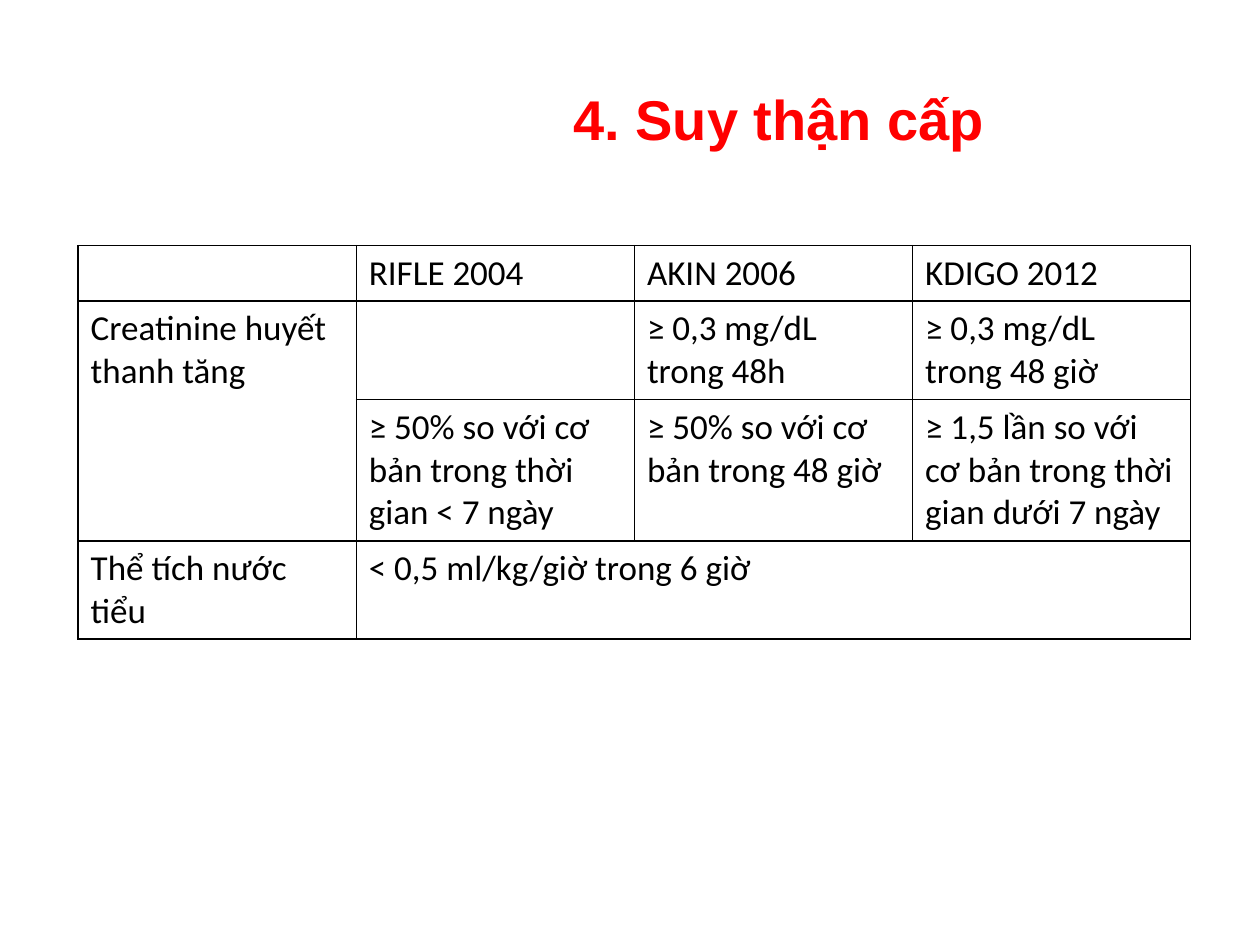
"""Builds a slide comparing three definitions of acute kidney injury."""
from lxml import etree
from pptx import Presentation
from pptx import util as u
from pptx.dml.color import RGBColor
from pptx.enum import text as t
from pptx.oxml.ns import qn


def write(frame, words, font="Calibri", size=20, color="000000", bold=False):
    para = frame.paragraphs[0]
    para.alignment = t.PP_ALIGN.LEFT
    run = para.add_run()
    run.text = words
    run.font.name = font
    run.font.size = u.Pt(size)
    run.font.bold = bold
    run.font.color.rgb = RGBColor.from_string(color)


def edge(cell, color="000000", width=1):
    props = cell._tc.get_or_add_tcPr()
    for side in ("lnL", "lnR", "lnT", "lnB"):
        line = etree.SubElement(props, qn(f"a:{side}"), w=str(u.Pt(width)))
        fill = etree.SubElement(line, qn("a:solidFill"))
        etree.SubElement(fill, qn("a:srgbClr"), val=color)


deck = Presentation()
deck.slide_width = u.Inches(10)
deck.slide_height = u.Inches(7.5)
slide = deck.slides.add_slide(deck.slide_layouts[5])

title = slide.shapes.title
title.left, title.top = u.Inches(4.45), u.Inches(0.62)
title.width, title.height = u.Inches(5.31), u.Inches(0.64)
title.text_frame.auto_size = t.MSO_AUTO_SIZE.NONE
title.text_frame.vertical_anchor = t.MSO_ANCHOR.MIDDLE
write(title.text_frame, "4. Suy thận cấp", font="Arial", size=32, color="FF0000", bold=True)

rows = [
    ["", "RIFLE 2004", "AKIN 2006", "KDIGO 2012"],
    ["Creatinine huyết thanh tăng", "", "≥ 0,3 mg/dL trong 48h", "≥ 0,3 mg/dL trong 48 giờ"],
    ["", "≥ 50% so với cơ bản trong thời gian < 7 ngày", "≥ 50% so với cơ bản trong 48 giờ",
     "≥ 1,5 lần so với cơ bản trong thời gian dưới 7 ngày"],
    ["Thể tích nước tiểu", "< 0,5 ml/kg/giờ trong 6 giờ", "", ""],
]
highs = [0.44, 0.78, 1.12, 0.78]

grid = slide.shapes.add_table(
    len(rows), len(rows[0]), u.Inches(0.62), u.Inches(1.95), u.Inches(8.83), u.Inches(sum(highs))
).table
grid.first_row = grid.horz_banding = False
for row, high in zip(grid.rows, highs):
    row.height = u.Inches(high)

for r, row in enumerate(rows):
    for c, words in enumerate(row):
        cell = grid.cell(r, c)
        edge(cell)
        cell.fill.background()
        if words:
            write(cell.text_frame, words)

grid.cell(1, 0).merge(grid.cell(2, 0))
grid.cell(3, 1).merge(grid.cell(3, 3))

deck.save("out.pptx")
